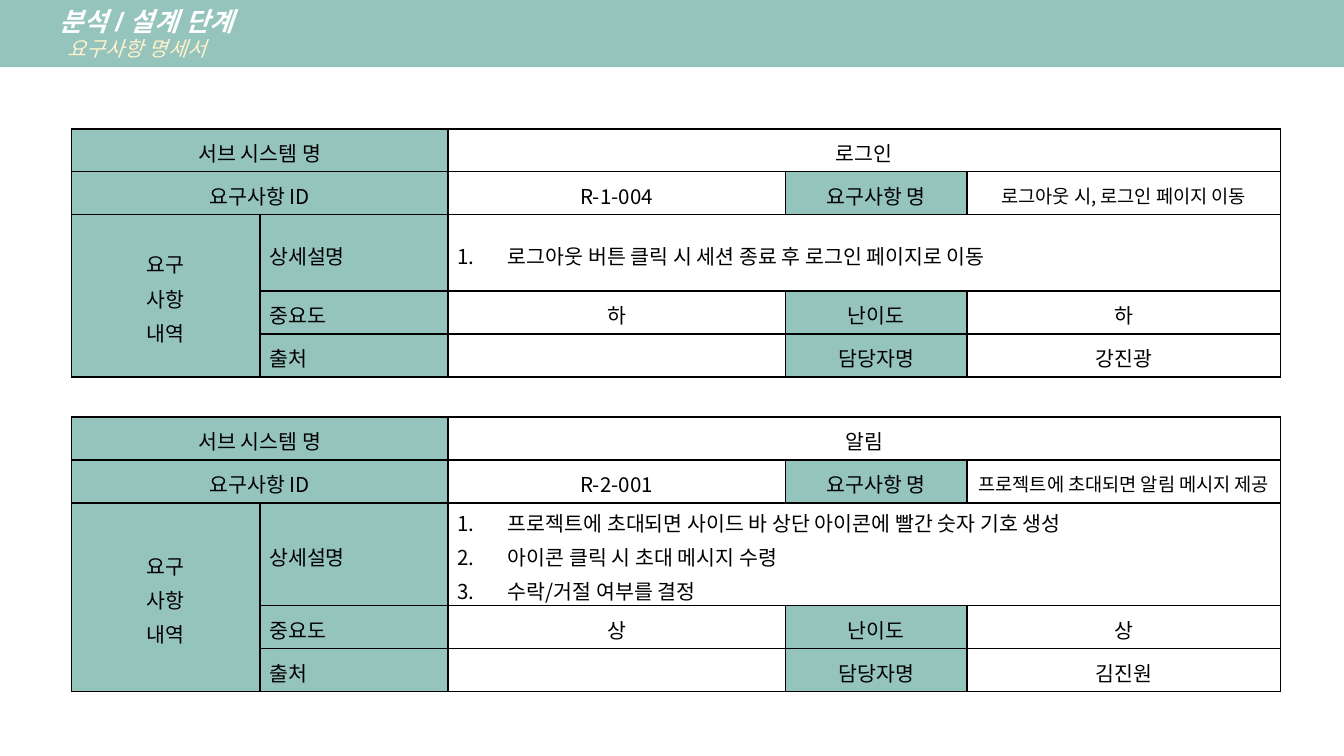
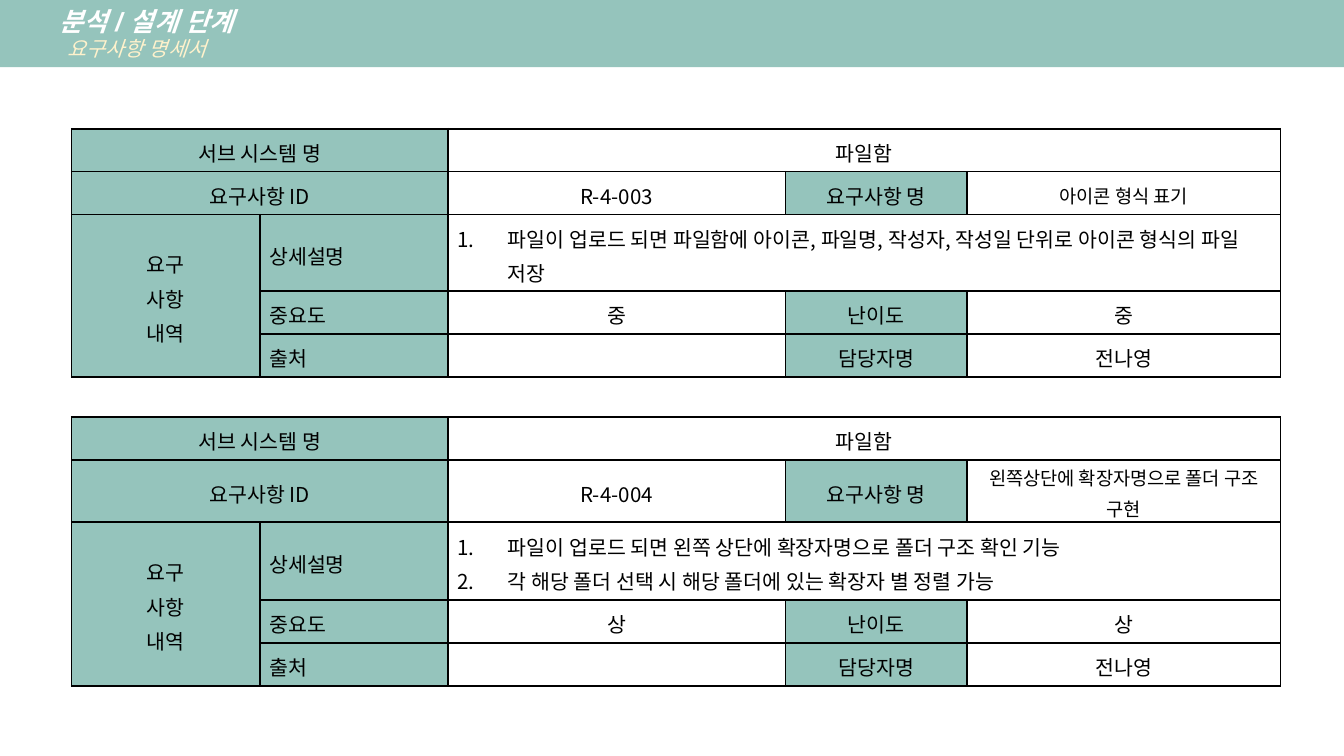
from dataclasses import dataclass

from lxml.etree import SubElement
from pptx import Presentation
from pptx.dml.color import RGBColor
from pptx.enum.text import MSO_ANCHOR, MSO_AUTO_SIZE, PP_ALIGN
from pptx.oxml.ns import qn
from pptx.util import Pt

COLORS = {"teal": "95C4BC", "white": "FFFFFF", "cream": "FFF2CC", "black": "000000"}
TITLE_FONT, TABLE_FONT = "Arial", "Noto Sans CJK KR"
COLUMN_WIDTHS = [100.8, 100.8, 180.8, 97.2, 168]
ROW_HEIGHT, GAP_HEIGHT = 23, 21.5
BLOCK_ROWS = 5
DETAIL_ROW = 2
DETAIL_HEIGHTS = [41, 42]
INDENT = 27


@dataclass
class Requirement:
    system: str
    code: str
    name: str
    details: list
    importance: str
    difficulty: str
    owner: str


SLIDES = [
    [
        Requirement("로그인", "R-1-004", "로그아웃 시, 로그인 페이지 이동",
                    ["로그아웃 버튼 클릭 시 세션 종료 후 로그인 페이지로 이동"],
                    "하", "하", "강진광"),
        Requirement("알림", "R-2-001", "프로젝트에 초대되면 알림 메시지 제공",
                    ["프로젝트에 초대되면 사이드 바 상단 아이콘에 빨간 숫자 기호 생성",
                     "아이콘 클릭 시 초대 메시지 수령",
                     "수락/거절 여부를 결정"],
                    "상", "상", "김진원"),
    ],
    [
        Requirement("파일함", "R-4-003", "아이콘 형식 표기",
                    ["파일이 업로드 되면 파일함에 아이콘, 파일명, 작성자, 작성일 단위로 "
                     "아이콘 형식의 파일 저장"],
                    "중", "중", "전나영"),
        Requirement("파일함", "R-4-004", "왼쪽상단에 확장자명으로 폴더 구조 구현",
                    ["파일이 업로드 되면 왼쪽 상단에 확장자명으로 폴더 구조 확인 기능",
                     "각 해당 폴더 선택 시 해당 폴더에 있는 확장자 별 정렬 가능"],
                    "상", "상", "전나영"),
    ],
]


class Deck:
    def __init__(self):
        self.presentation = Presentation()
        self.presentation.slide_width, self.presentation.slide_height = Pt(720), Pt(405)
        self.slide = None

    def add_slide(self):
        self.slide = self.presentation.slides.add_slide(self.presentation.slide_layouts[5])

    def color(self, name):
        return RGBColor.from_string(COLORS[name])

    def fill(self, target, name):
        target.fill.solid()
        target.fill.fore_color.rgb = self.color(name)

    def style_run(self, run, size, color, font, bold=False, italic=False):
        run.font.size, run.font.bold, run.font.italic = Pt(size), bold, italic
        run.font.color.rgb = self.color(color)
        run.font.name = font
        SubElement(run.font._element, qn("a:ea"), typeface=font)

    def title_band(self, title, subtitle):
        band = self.slide.shapes.title
        band.left, band.top, band.width, band.height = Pt(0), Pt(-0.5), Pt(720), Pt(36.5)
        self.fill(band, "teal")
        frame = band.text_frame
        frame.text = f"{title}\n{subtitle}"
        frame.auto_size, frame.word_wrap = MSO_AUTO_SIZE.NONE, True
        frame.vertical_anchor = MSO_ANCHOR.MIDDLE
        frame.margin_left = frame.margin_right = Pt(5)
        frame.margin_top = frame.margin_bottom = Pt(2.6)
        styles = [(INDENT, 14, "white", True), (INDENT + 4, 11, "cream", False)]
        for paragraph, (indent, size, color, bold) in zip(frame.paragraphs, styles):
            paragraph.alignment = PP_ALIGN.LEFT
            paragraph._p.get_or_add_pPr().set("marL", str(Pt(indent)))
            self.style_run(paragraph.runs[0], size, color, TITLE_FONT, bold, True)

    def border(self, cell, sides):
        """Draw the named sides (L, R, T, B) and hide the others."""
        properties = cell._tc.get_or_add_tcPr()
        for side in "LRTB":
            line = SubElement(properties, qn(f"a:ln{side}"), w=str(Pt(1)))
            if side in sides:
                paint = SubElement(line, qn("a:solidFill"))
                SubElement(paint, qn("a:srgbClr"), val=COLORS["black"])
            else:
                SubElement(line, qn("a:noFill"))

    def base_cell(self, cell, sides="LRTB", empty_size=11):
        self.border(cell, sides)
        self.fill(cell, "white")
        cell.vertical_anchor = MSO_ANCHOR.MIDDLE
        cell.margin_left = cell.margin_right = Pt(5)
        cell.margin_top = cell.margin_bottom = Pt(0)
        SubElement(cell.text_frame.paragraphs[0]._p, qn("a:endParaRPr"), sz=str(empty_size * 100))

    def cell_text(self, cell, text, label=False, size=11, centered=True, numbered=False):
        if label:
            self.fill(cell, "teal")
        cell.text_frame.text = text
        for paragraph in cell.text_frame.paragraphs:
            if numbered:
                properties = paragraph._p.get_or_add_pPr()
                properties.set("marL", str(Pt(INDENT)))
                properties.set("indent", str(Pt(-INDENT)))
                SubElement(properties, qn("a:buAutoNum"), type="arabicPeriod")
            paragraph.alignment = PP_ALIGN.CENTER if centered else PP_ALIGN.LEFT
            paragraph.line_spacing = 1.15
            for run in paragraph.runs:
                self.style_run(run, size, "black", TABLE_FONT)

    def requirement_block(self, table, top, item):
        def cell(row, column):
            return table.cell(top + row, column)

        for row, first, last_row, last in [(0, 0, 0, 1), (0, 2, 0, 4), (1, 0, 1, 1),
                                           (2, 0, 4, 0), (2, 2, 2, 4)]:
            cell(row, first).merge(cell(last_row, last))
        for row, column, text in [(0, 0, "서브 시스템 명"), (1, 0, "요구사항 ID"),
                                  (1, 3, "요구사항 명"), (2, 0, "요구\v사항\v내역"),
                                  (3, 3, "난이도"), (4, 3, "담당자명")]:
            self.cell_text(cell(row, column), text, label=True)
        for row, text in enumerate(["상세설명", "중요도", "출처"], DETAIL_ROW):
            self.cell_text(cell(row, 1), text, label=True, centered=False)
        for row, column, text in [(0, 2, item.system), (1, 2, item.code),
                                  (3, 2, item.importance), (3, 4, item.difficulty),
                                  (4, 4, item.owner)]:
            self.cell_text(cell(row, column), text)
        self.cell_text(cell(1, 4), item.name, size=10)
        self.cell_text(cell(DETAIL_ROW, 2), "\n".join(item.details),
                       centered=False, numbered=True)

    def requirement_table(self, items):
        heights = []
        for detail_height in DETAIL_HEIGHTS:
            block = [ROW_HEIGHT] * BLOCK_ROWS
            block[DETAIL_ROW] = detail_height
            heights += block + [GAP_HEIGHT]
        heights.pop()
        table = self.slide.shapes.add_table(
            len(heights), len(COLUMN_WIDTHS), Pt(38.4), Pt(69),
            Pt(sum(COLUMN_WIDTHS)), Pt(sum(heights))).table
        table.first_row = table.horz_banding = False
        for column, width in zip(table.columns, COLUMN_WIDTHS):
            column.width = Pt(width)
        for index, (row, height) in enumerate(zip(table.rows, heights)):
            row.height = Pt(height)
            for cell in row.cells:
                if index == BLOCK_ROWS:
                    self.base_cell(cell, "TB", empty_size=8)
                else:
                    self.base_cell(cell)
        table.cell(BLOCK_ROWS, 0).merge(table.cell(BLOCK_ROWS, len(COLUMN_WIDTHS) - 1))
        for index, item in enumerate(items):
            self.requirement_block(table, index * (BLOCK_ROWS + 1), item)


def main():
    deck = Deck()
    for items in SLIDES:
        deck.add_slide()
        deck.title_band("분석 / 설계 단계", "요구사항 명세서")
        deck.requirement_table(items)
    deck.presentation.save("out.pptx")


if __name__ == "__main__":
    main()
